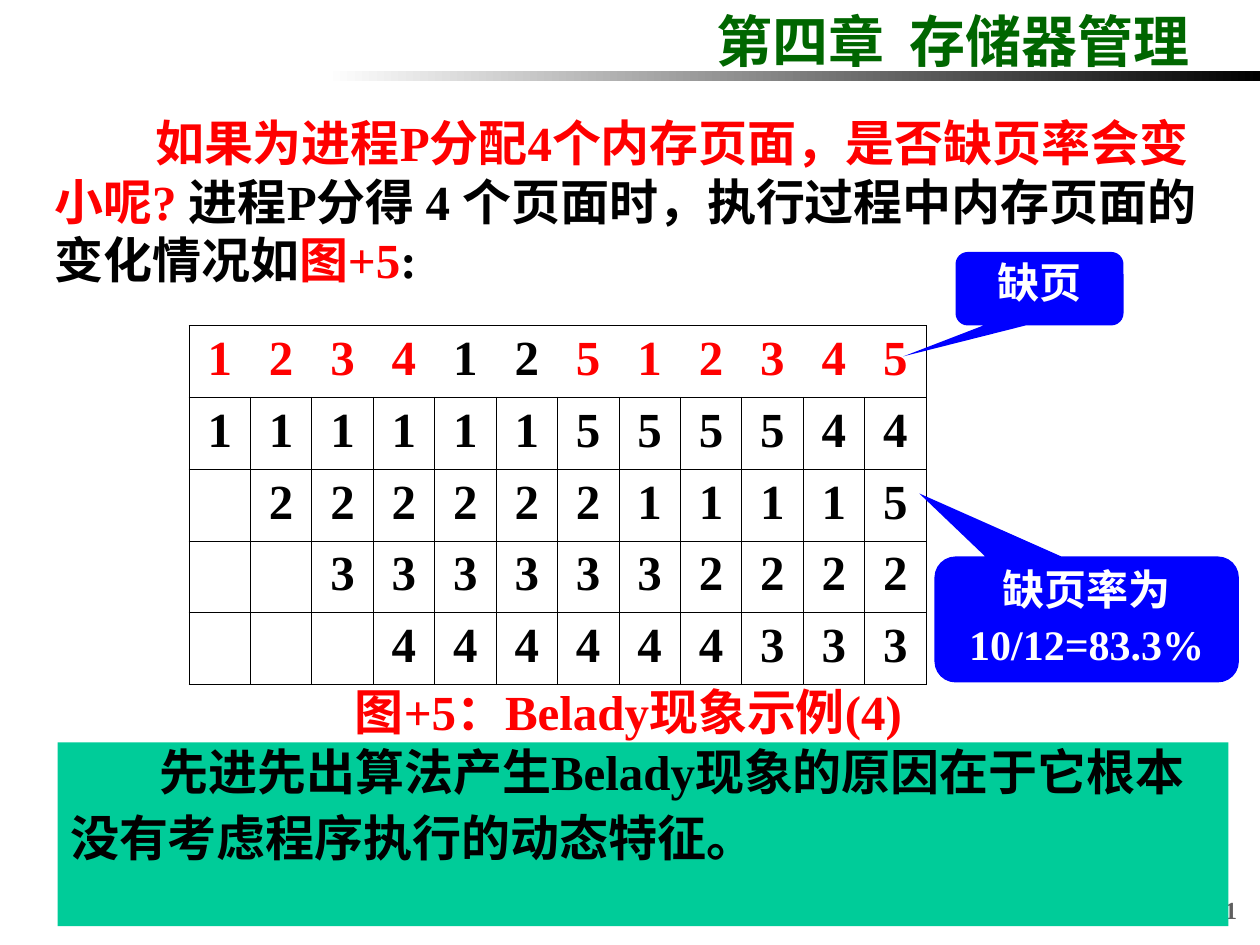
from lxml import etree
from pptx import Presentation
from pptx.dml.color import RGBColor
from pptx.enum.shapes import MSO_SHAPE
from pptx.enum.text import MSO_ANCHOR, MSO_AUTO_SIZE, PP_ALIGN
from pptx.oxml.ns import qn
from pptx.util import Inches, Pt

LEFT, MID, RIGHT = PP_ALIGN.LEFT, PP_ALIGN.CENTER, PP_ALIGN.RIGHT
TOP = MSO_ANCHOR.TOP
FIXED = MSO_AUTO_SIZE.NONE
RECT = MSO_SHAPE.RECTANGLE
BUBBLE = MSO_SHAPE.ROUNDED_RECTANGULAR_CALLOUT

WIDE, HIGH = Inches(10), Inches(7.5)
COLS, ROWS = 120, 90
HUES = {
    "black": "000000",
    "white": "FFFFFF",
    "red": "FF0000",
    "green": "006600",
    "teal": "00CC99",
    "blue": "0000FF",
    "gray": "5F5F5F",
}
FONT = {"name": "Times New Roman", "bold": True}
FRAME = {"word_wrap": True, "auto_size": FIXED, "vertical_anchor": TOP}
PAGES = [
    "123412512345",
    "111111555544",
    " 22222211115",
    "  3333332222",
    "   444444333",
]
FAULTS = {0, 1, 2, 3, 6, 7, 8, 9, 10, 11}


def tint(hue):
    return RGBColor.from_string(HUES[hue])


def grid(box):
    x, y, w, h = box
    unit, step = WIDE / COLS, HIGH / ROWS
    return int(x * unit), int(y * step), int(w * unit), int(h * step)


def apply(item, form):
    for name, value in form.items():
        setattr(item, name, value)


def write(frame, paras, size, form=None, indent=0):
    for i, runs in enumerate(paras):
        para = frame.paragraphs[0] if i == 0 else frame.add_paragraph()
        apply(para, form or {})
        if i:
            para.space_before = Pt(size / 4)
        elif indent:
            para._p.get_or_add_pPr().set("indent", str(Inches(indent)))
        for words, hue in runs:
            run = para.add_run()
            run.text = words
            apply(run.font, FONT | {"size": Pt(size)})
            run.font.color.rgb = tint(hue)


def label(slide, box, paras, size, form=None, indent=0, wrap=True):
    frame = slide.shapes.add_textbox(*grid(box)).text_frame
    apply(frame, FRAME | {"word_wrap": wrap})
    write(frame, paras, size, form, indent)


def panel(slide, box, kind, hue=None):
    shape = slide.shapes.add_shape(kind, *grid(box))
    shape.shadow.inherit = False
    shape.line.fill.background()
    if hue:
        shape.fill.solid()
        shape.fill.fore_color.rgb = tint(hue)
    apply(shape.text_frame, FRAME)
    return shape


def header(slide, box, bar):
    title = slide.shapes.title
    places = zip(("left", "top", "width", "height"), grid(box))
    apply(title, dict(places))
    apply(title.text_frame, FRAME)
    write(title.text_frame, [[("第四章  存储器管理", "green")]], 32,
          {"alignment": LEFT})
    fill = panel(slide, bar, RECT).fill
    fill.gradient()
    fill.gradient_angle = 0
    for stop, hue, place in zip(fill.gradient_stops, ("white", "black"), (0, 1)):
        stop.color.rgb = tint(hue)
        stop.position = place


def edge(cell, side, shown):
    line = etree.SubElement(cell._tc.get_or_add_tcPr(), qn(f"a:ln{side}"))
    if not shown:
        etree.SubElement(line, qn("a:noFill"))
        return
    line.set("w", str(Pt(0.45)))
    solid = etree.SubElement(line, qn("a:solidFill"))
    etree.SubElement(solid, qn("a:srgbClr")).set("val", HUES["black"])


def frames(slide, box):
    x, y, w, h = grid(box)
    count, last = len(PAGES), len(PAGES[0]) - 1
    table = slide.shapes.add_table(count, last + 1, x, y, w, h).table
    apply(table, {"first_row": False, "horz_banding": False})
    for col in table.columns:
        col.width = w // (last + 1)
    for r, line in enumerate(PAGES):
        table.rows[r].height = h // count
        for c, page in enumerate(line):
            cell = table.cell(r, c)
            edge(cell, "L", r > 0 or c == 0)
            edge(cell, "R", r > 0 or c == last)
            edge(cell, "T", True)
            edge(cell, "B", True)
            cell.fill.background()
            if page != " ":
                hue = "red" if r == 0 and c in FAULTS else "black"
                write(cell.text_frame, [[(page, hue)]], 28, {"alignment": MID})


def callout(slide, box, tip, lines):
    shape = panel(slide, box, BUBBLE, "blue")
    for i, value in enumerate((*tip, 0.167)):
        shape.adjustments[i] = value
    write(shape.text_frame, [[(line, "white")] for line in lines], 24,
          {"alignment": MID, "line_spacing": 0.9})


def closing(slide, box):
    shape = panel(slide, box, RECT, "teal")
    lines = ["先进先出算法产生Belady现象的原因在于它根本",
             "没有考虑程序执行的动态特征。"]
    write(shape.text_frame, [[(line, "black")] for line in lines], 28,
          {"alignment": LEFT, "line_spacing": 0.9}, 0.71)


def main():
    deck = Presentation()
    apply(deck, {"slide_width": WIDE, "slide_height": HIGH})
    slide = deck.slides.add_slide(deck.slide_layouts[5])
    header(slide, (67, 0, 53, 7.7), (31, 6.75, 89, 1))
    label(slide, (94, 84.7, 25, 3.4), [[("161", "gray")]], 14,
          {"alignment": RIGHT})
    label(slide, (4, 10.1, 113.5, 19), [[
        ("如果为进程P分配4个内存页面，是否缺页率会变小呢? ", "red"),
        ("进程P分得 4 个页面时，执行过程中内存页面的变化情况如", "black"),
        ("图+5", "red"),
        (":", "black"),
    ]], 28, indent=0.8)
    frames(slide, (18, 31, 70.2, 34.2))
    label(slide, (29.8, 65, 60.1, 6.2), [[("图+5：Belady现象示例(4)", "red")]],
          28, {"alignment": MID, "line_spacing": 0.9}, wrap=False)
    callout(slide, (91, 24, 16, 7), (-0.81, 0.92), ["缺页"])
    callout(slide, (89, 53, 29, 12), (-0.55, -1), ["缺页率为", "10/12=83.3%"])
    closing(slide, (5.5, 70.7, 111.5, 17.5))
    deck.save("out.pptx")


if __name__ == "__main__":
    main()
